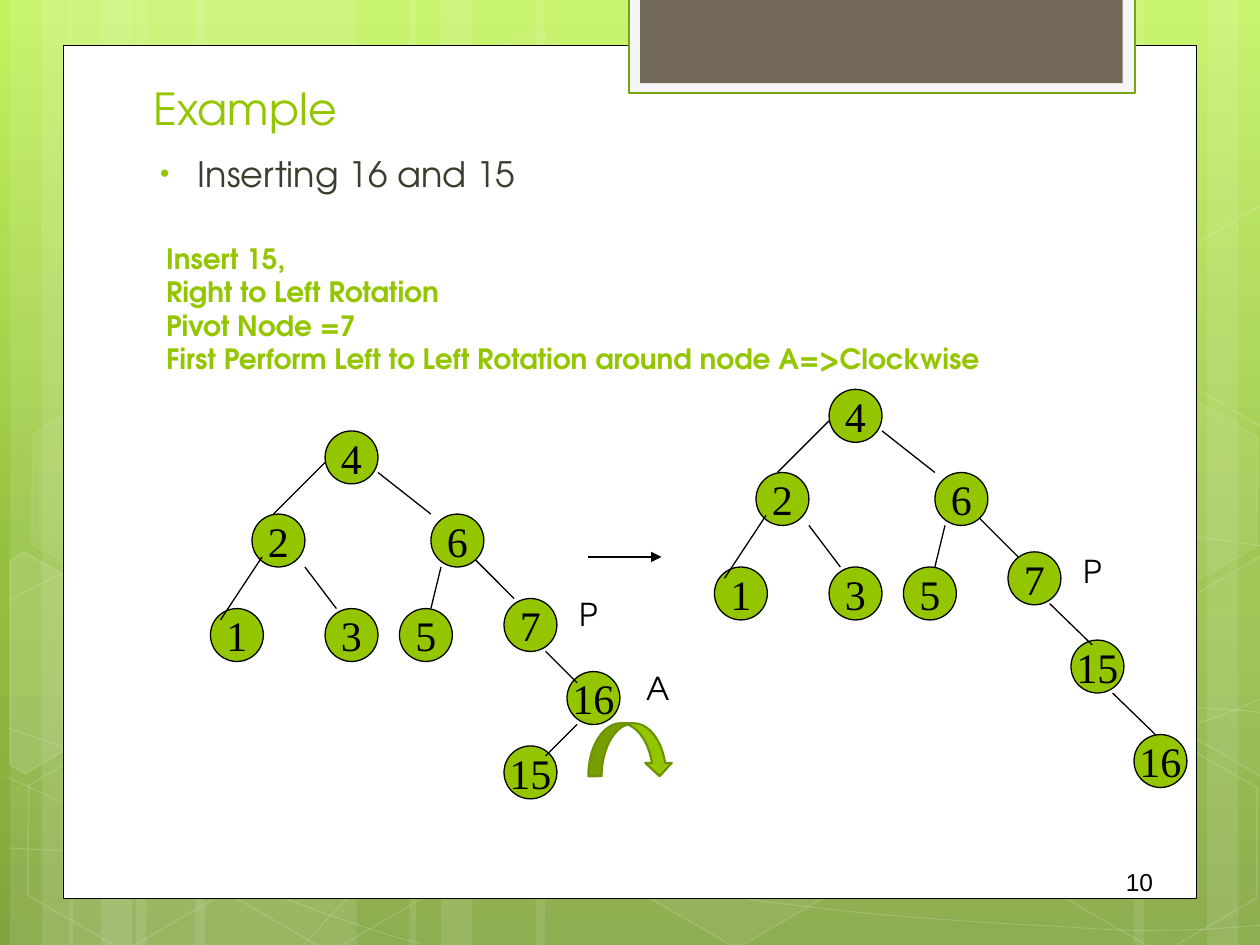
from copy import deepcopy

from lxml.etree import SubElement
from pptx import Presentation
from pptx.dml.color import RGBColor
from pptx.enum.shapes import MSO_CONNECTOR, MSO_SHAPE as SHAPE
from pptx.enum.text import MSO_ANCHOR as ANCHOR, MSO_AUTO_SIZE as AUTOSIZE, PP_ALIGN as ALIGN
from pptx.oxml.ns import qn
from pptx.util import Pt

PX = 9144  # 100 px to the inch
COLORS = {
    "top": "C3F35F", "middle": "93BF3F", "bottom": "81A53E",
    "white": "FFFFFF", "black": "000000", "green": "94C600",
    "tab edge": "74A510", "tab rim": "F5F5F5", "tab": "71685A",
    "rotation edge": "6D9200", "body": "3E3D2D",
}
RGB = {name: RGBColor.from_string(value) for name, value in COLORS.items()}
SANS = "TeX Gyre Adventor"


def style(shape, fill=None, line=None, weight=1, fill_alpha=100, line_alpha=100):
    """Set fill, outline and opacity in percent, without a shadow."""
    shape.shadow.inherit = False
    if fill:
        shape.fill.solid()
        shape.fill.fore_color.rgb = RGB[fill]
    else:
        shape.fill.background()
    if line:
        shape.line.color.rgb = RGB[line]
        shape.line.width = Pt(weight)
    else:
        shape.line.fill.background()
    for route, alpha in (("a:solidFill", fill_alpha), ("a:ln/a:solidFill", line_alpha)):
        if alpha < 100:
            for color in shape.element.spPr.xpath(route + "/a:srgbClr"):
                SubElement(color, qn("a:alpha"), val=str(alpha * 1000))


def write(shape, text, size, font=SANS, color="black", bold=False,
          align=ALIGN.LEFT, anchor=ANCHOR.TOP, wrap=True):
    frame = shape.text_frame
    frame.text = text
    frame.word_wrap = wrap
    frame.auto_size = AUTOSIZE.NONE
    frame.vertical_anchor = anchor
    for paragraph in frame.paragraphs:
        paragraph.alignment = align
        paragraph.space_before = Pt(0)
        for run in paragraph.runs:
            run.font.name = font
            run.font.size = Pt(size)
            run.font.bold = bold
            run.font.color.rgb = RGB[color]
    return frame


deck = Presentation()
deck.slide_width, deck.slide_height = 1000 * PX, 750 * PX
slide = deck.slides.add_slide(deck.slide_layouts[1])
shapes = slide.shapes

# Background gradient, from top to bottom
backdrop = slide.background.fill
backdrop.gradient()
backdrop.gradient_angle = 270
stop_list = next(slide.element.iter(qn("a:gsLst")))
stop_list.append(deepcopy(stop_list[-1]))
for stop, (position, color) in zip(backdrop.gradient_stops,
                                   ((0, "top"), (0.62, "middle"), (1, "bottom"))):
    stop.position = position
    stop.color.rgb = RGB[color]

# Translucent vertical stripes
for left, width in ((108, 175), (8, 50), (33, 83), (155, 175), (55, 50), (80, 83),
                    (733, 175), (958, 50), (900, 83), (425, 308), (325, 50), (350, 83)):
    stripe = shapes.add_shape(SHAPE.RECTANGLE, left * PX, 0, width * PX, 750 * PX)
    style(stripe, "white", fill_alpha=10)

# Thin waves: a start point, then two control points and an end point per Bézier piece
waves = [
    [(7, 673), (61, 676), (115, 679), (190, 678), (265, 677), (358, 675), (458, 665),
     (558, 655), (700, 636), (792, 617), (883, 598), (977, 568), (1007, 551)],
    [(7, 477), (36, 461), (65, 446), (121, 431), (178, 416), (259, 394), (347, 387),
     (436, 380), (544, 379), (654, 387), (764, 395), (947, 426), (1007, 434)],
    [(6, 617), (127, 672), (247, 727), (334, 749)],
    [(7, 578), (38, 589), (70, 600), (128, 616), (186, 631), (273, 656), (357, 673),
     (440, 690), (545, 708), (628, 718), (711, 729), (800, 733), (853, 736),
     (905, 740), (919, 738), (945, 738), (971, 737), (989, 735), (1007, 734)],
    [(242, 749), (260, 729), (278, 709), (302, 691), (326, 673), (360, 653), (388, 639),
     (416, 625), (433, 619), (470, 609), (506, 599), (573, 585), (608, 578),
     (644, 571), (649, 571), (680, 569), (711, 566), (760, 563), (794, 562),
     (829, 561), (886, 562), (886, 562), (908, 562), (931, 562), (953, 562),
     (971, 563), (988, 564), (997, 565), (1006, 566), (1003, 565), (1006, 566)],
]
for points in waves:
    outline = shapes.build_freeform(*points[0], scale=PX)
    outline.add_line_segments(points[1:], close=False)
    wave = outline.convert_to_shape()
    style(wave, line="white", weight=0.5, line_alpha=20)
    curve = next(wave.element.iter(qn("a:path")))
    segments = curve.findall(qn("a:lnTo"))
    for i in range(0, len(segments), 3):
        piece = SubElement(curve, qn("a:cubicBezTo"))
        for segment in segments[i:i + 3]:
            piece.append(segment[0])
            curve.remove(segment)

# Hexagons: left, top, fill opacity, line opacity
for left, top, fill_alpha, line_alpha in (
        (334, 36, 4, 8), (497, 589, 6, 12), (11, 591, 0, 12), (14, 312, 7, 8),
        (174, 592, 0, 12), (753, 453, 10, 12), (834, 593, 0, 12), (834, 314, 7, 8)):
    hexagon = shapes.add_shape(SHAPE.HEXAGON, left * PX, top * PX, 175 * PX, 152 * PX)
    hexagon.adjustments[0] = 0.285
    hexagon.rotation = 30
    style(hexagon, "white" if fill_alpha else None, "white", 1, fill_alpha, line_alpha)

# Hexagons cut off by the slide's edge
for corners, fill_alpha in (
        ([(8, 445), (19, 438), (96, 482), (95, 570), (20, 614), (8, 607)], 10),
        ([(926, 485), (1001, 441), (1009, 446), (1009, 613), (1002, 617), (926, 573)], 4),
        ([(926, 207), (1001, 163), (1010, 168), (1009, 335), (1002, 339), (926, 295)], 0)):
    outline = shapes.build_freeform(*corners[0], scale=PX)
    outline.add_line_segments(corners[1:])
    style(outline.convert_to_shape(), "white" if fill_alpha else None, "white", 1, fill_alpha, 12)

# White page and the tab at its top
for box, fill, line, weight in (((50, 36, 900, 677), "white", "black", 0.5),
                                ((499, -2, 402, 76), "tab rim", "tab edge", 1.25),
                                ((508, -2, 383, 68), "tab", None, 0)):
    panel = shapes.add_shape(SHAPE.RECTANGLE, *(v * PX for v in box))
    style(panel, fill, line, weight)

page_number = shapes.add_textbox(717 * PX, 683 * PX, 208 * PX, 50 * PX)
write(page_number, "10", 14, font="Arial", align=ALIGN.RIGHT)

# Title and bullet, brought in front of the page
title, body = shapes.title, slide.placeholders[1]
for holder, box in ((title, (112, 66, 768, 46)), (body, (109, 116, 741, 384))):
    holder.left, holder.top, holder.width, holder.height = (v * PX for v in box)
    shapes.element.append(holder.element)
write(title, "Example", 25.2, color="green", anchor=ANCHOR.BOTTOM)
bullet = write(body, "Inserting 16 and 15", 20, color="body").paragraphs[0]
bullet_format = bullet._p.get_or_add_pPr()
bullet_format.set("marL", str(38 * PX))
bullet_format.set("indent", str(-30 * PX))
bullet_color = SubElement(bullet_format, qn("a:buClr"))
SubElement(bullet_color, qn("a:srgbClr"), val=COLORS["green"])
SubElement(bullet_format, qn("a:buSzPct"), val="76000")
SubElement(bullet_format, qn("a:buFont"), typeface="Arial")
SubElement(bullet_format, qn("a:buChar"), char="•")

# Both trees share their upper part, moved by a fixed shift
NODE = 42
upper_nodes = {"4": (258, 342), "2": (200, 408), "6": (342, 408),
               "1": (167, 483), "3": (258, 483), "5": (317, 483)}
upper_edges = [(258, 367, 217, 408), (300, 375, 342, 408), (208, 442, 175, 492),
               (242, 450, 267, 483), (350, 450, 342, 483), (375, 442, 408, 475)]
trees = [
    ((0, 0), {"7": (400, 475), "16": (450, 533), "15": (400, 592)},
     [(433, 517, 458, 542), (458, 575, 433, 600)]),
    ((400, -33), {"7": (800, 438), "15": (850, 508), "16": (900, 583)},
     [(833, 479, 867, 512), (883, 550, 917, 583)]),
]
lines, covering_nodes = [], []
for (dx, dy), lower_nodes, lower_edges in trees:
    nodes = {key: (x + dx, y + dy) for key, (x, y) in upper_nodes.items()} | lower_nodes
    for key, (x, y) in nodes.items():
        node = shapes.add_shape(SHAPE.OVAL, x * PX, y * PX, NODE * PX, NODE * PX)
        style(node, "green", "black", 0.75)
        write(node, key, 24, font="Times New Roman", align=ALIGN.CENTER,
              anchor=ANCHOR.MIDDLE, wrap=False)
        if key == "6":
            covering_nodes.append(node)
    lines += [(x1 + dx, y1 + dy, x2 + dx, y2 + dy) for x1, y1, x2, y2 in upper_edges]
    lines += lower_edges

next_step = (467, 442, 525, 442)
for ends in lines + [next_step]:
    link = shapes.add_connector(MSO_CONNECTOR.STRAIGHT, *(v * PX for v in ends))
    link.line.color.rgb = RGB["black"]
    link.line.width = Pt(0.75)
    if ends == next_step:
        SubElement(link.element.spPr.find(qn("a:ln")), qn("a:tailEnd"), type="triangle")
    SubElement(link.element.spPr, qn("a:effectLst"))
for node in covering_nodes:
    shapes.element.append(node.element)

explanation = shapes.add_textbox(122 * PX, 204 * PX, 763 * PX, 125 * PX)
write(explanation, "Insert 15,\nRight to Left Rotation\nPivot Node =7\n"
      "First Perform Left to Left Rotation around node A=>Clockwise",
      16, color="green", bold=True, anchor=ANCHOR.BOTTOM).margin_bottom = 31 * PX

rotation = shapes.add_shape(SHAPE.CURVED_DOWN_ARROW, 467 * PX, 574 * PX, 67 * PX, 42 * PX)
style(rotation, "green", "rotation edge", 1.25)

for mark, x, y in (("P", 850, 433), ("P", 450, 467), ("A", 503, 526)):
    node_mark = shapes.add_textbox(x * PX, y * PX, 42 * PX, 40 * PX)
    write(node_mark, mark, 18)

deck.save("out.pptx")
